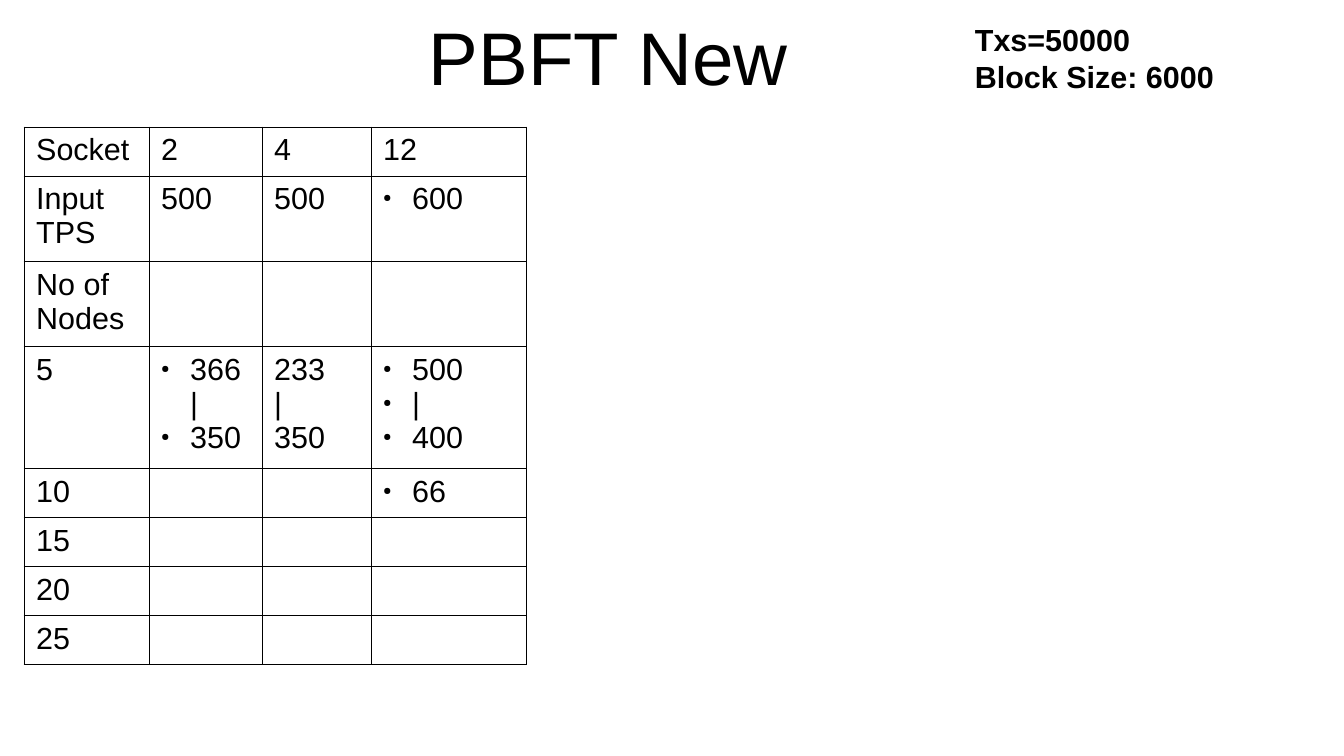
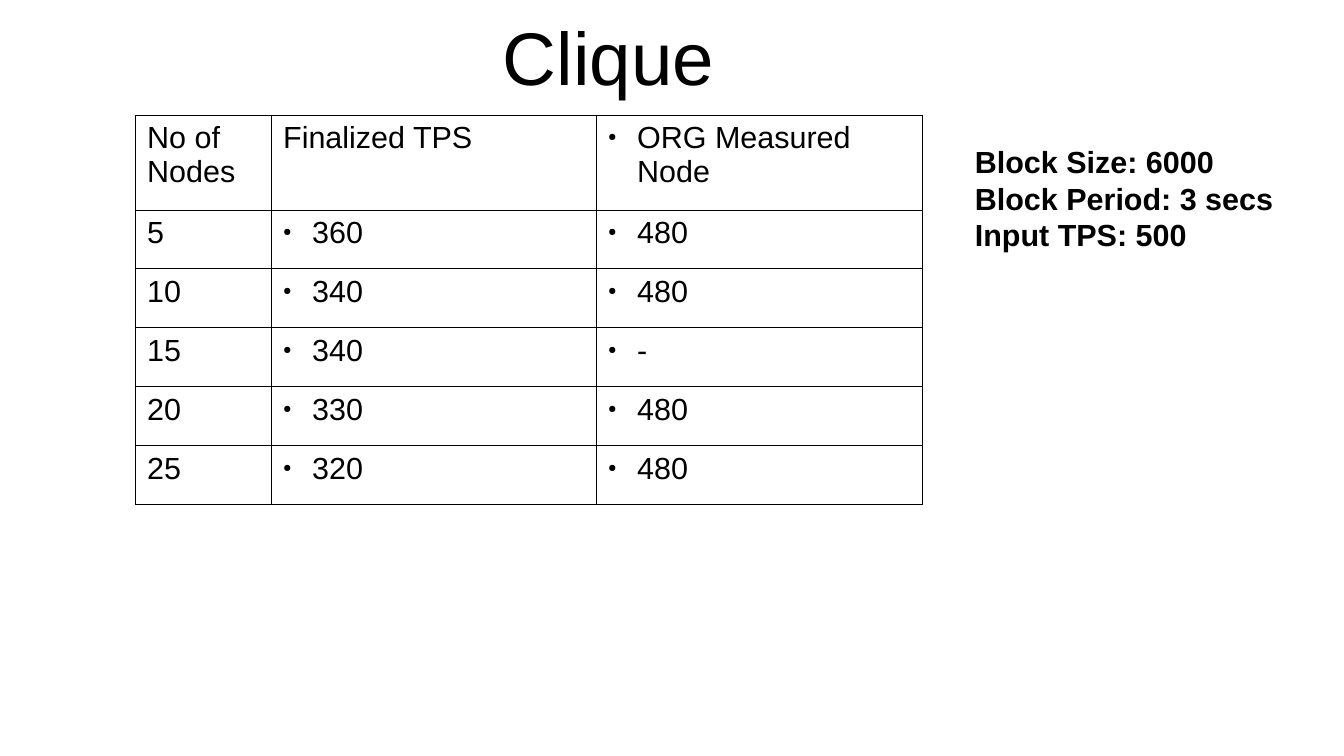
from lxml.etree import SubElement
from pptx import Presentation
from pptx.dml.color import RGBColor
from pptx.enum.text import MSO_ANCHOR, PP_ALIGN
from pptx.oxml.ns import qn
from pptx.util import Pt

PX = 914400 / 122
BLACK = RGBColor(0, 0, 0)
WHITE = RGBColor(255, 255, 255)
FONT = "Arial"
BULLET = "* "  # prefix that marks a bulleted line in the table data


def px(n):
    return round(n * PX)


class Deck:
    """Shared style and the slide being built."""

    def __init__(self, width, height):
        self.prs = Presentation()
        self.prs.slide_width, self.prs.slide_height = px(width), px(height)
        self.s = None

    def slide(self, title):
        self.s = self.prs.slides.add_slide(self.prs.slide_layouts[6])
        self.s.background.fill.solid()
        self.s.background.fill.fore_color.rgb = WHITE
        tf = self.box(207, 14, 824, 83)
        tf.margin_left = tf.margin_right = tf.margin_top = tf.margin_bottom = 0
        tf.vertical_anchor = MSO_ANCHOR.MIDDLE
        tf.text = title
        tf.paragraphs[0].alignment = PP_ALIGN.CENTER
        self.style(tf, 44)

    def box(self, x, y, w, h):
        sp = self.s.shapes.add_textbox(px(x), px(y), px(w), px(h))
        sp.text_frame.word_wrap = True
        return sp.text_frame

    def style(self, tf, size, bold=False):
        for p in tf.paragraphs:
            for r in p.runs:
                r.font.name, r.font.size, r.font.bold = FONT, Pt(size), bold
                r.font.color.rgb = BLACK

    def note(self, y, h, text):
        tf = self.box(963, y, 354, h)
        tf.text = text
        self.style(tf, 18, bold=True)

    def table(self, x, y, cols, rows, data):
        frame = self.s.shapes.add_table(len(rows), len(cols), px(x), px(y),
                                        px(sum(cols)), px(sum(rows)))
        table = frame.table
        table.first_row = table.horz_banding = False
        for col, w in zip(table.columns, cols):
            col.width = px(w)
        for row, h, texts in zip(table.rows, rows, data):
            row.height = px(h)
            for i, cell in enumerate(row.cells):
                self.cell(cell, texts[i] if i < len(texts) else "")

    def cell(self, cell, text):
        self.borders(cell)
        cell.fill.background()
        tf = cell.text_frame
        tf.text = text
        for p in tf.paragraphs:
            if p.text.startswith(BULLET):
                p.text = p.text.removeprefix(BULLET)
                self.bullet(p)
        self.style(tf, 18)

    def borders(self, cell):
        props = cell._tc.get_or_add_tcPr()
        for side in ("a:lnL", "a:lnR", "a:lnT", "a:lnB"):
            ln = SubElement(props, qn(side), w=str(Pt(0.57)))
            fill = SubElement(ln, qn("a:solidFill"))
            SubElement(fill, qn("a:srgbClr"), val=str(BLACK))

    def bullet(self, p):
        props = p._p.get_or_add_pPr()
        props.set("marL", str(px(29)))
        props.set("indent", str(px(-29)))
        color = SubElement(props, qn("a:buClr"))
        SubElement(color, qn("a:srgbClr"), val=str(BLACK))
        SubElement(props, qn("a:buSzPct"), val="35000")
        SubElement(props, qn("a:buChar"), char="●")


def main():
    deck = Deck(1344, 756)

    # PBFT throughput by socket count
    deck.slide("PBFT New ")
    deck.table(24, 127, [125, 113, 109, 155], [49, 85, 85, 122] + [49] * 4, [
        ["Socket", "2", "4", "12"],
        ["Input TPS", "500", "500", "* 600"],
        ["No of Nodes"],
        ["5", "* 366 |\n* 350", "233\n|\n350", "* 500\n* |\n* 400"],
        ["10", "", "", "* 66"],
        ["15"],
        ["20"],
        ["25"],
    ])
    deck.note(15, 115, "Txs=50000\nBlock Size: 6000")

    # Clique throughput by node count
    deck.slide("Clique ")
    results = [("5", "360", "480"), ("10", "340", "480"), ("15", "340", "-"),
               ("20", "330", "480"), ("25", "320", "480")]
    deck.table(135, 115, [136, 325, 326], [95] + [59] * 5, [
        ["No of Nodes", "Finalized TPS", "* ORG Measured Node"],
        *([nodes, BULLET + final, BULLET + measured]
          for nodes, final, measured in results),
    ])
    deck.note(137, 217, "Block Size: 6000\nBlock Period: 3 secs\nInput TPS: 500")

    deck.prs.save("out.pptx")


if __name__ == "__main__":
    main()
